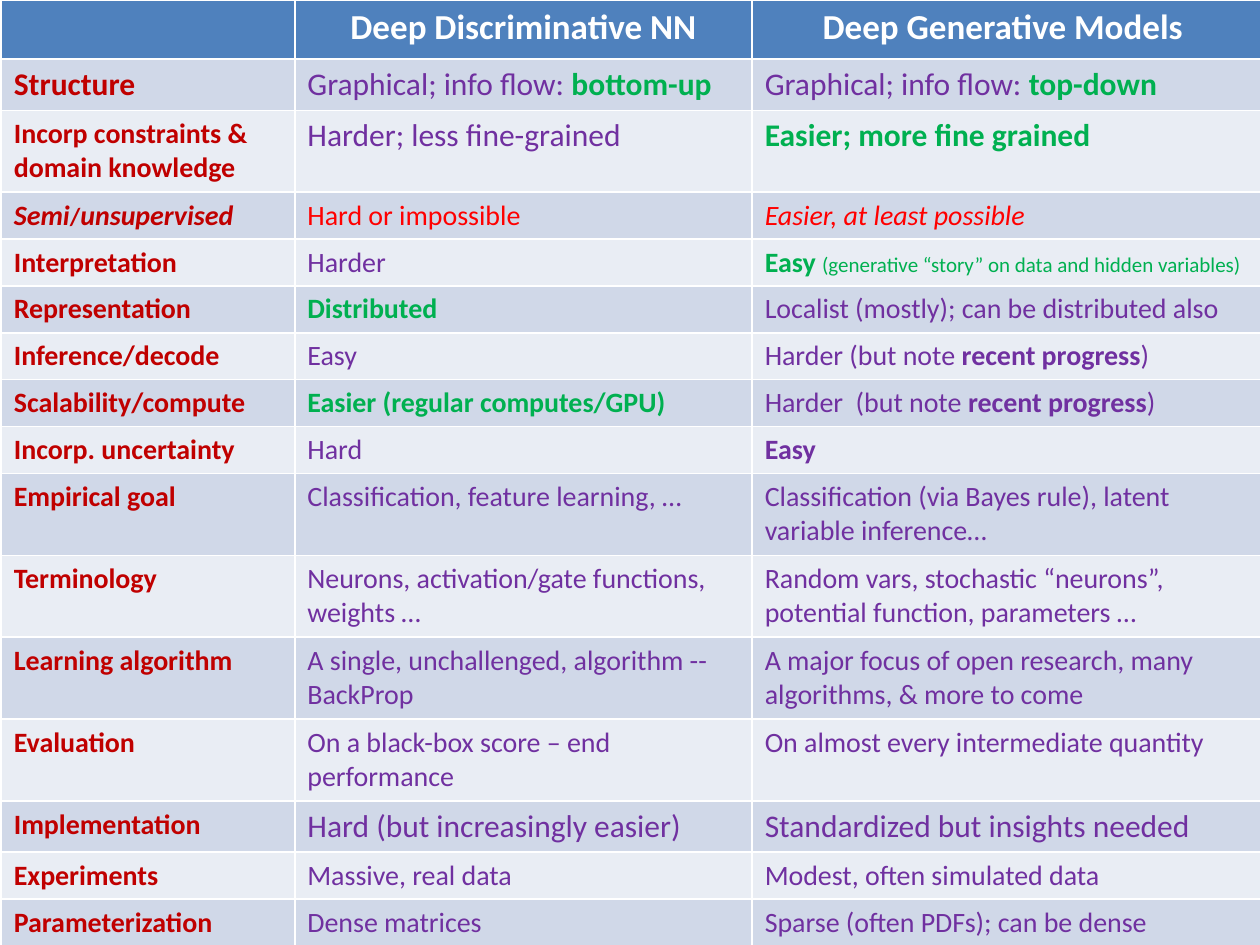
from pptx import Presentation
from pptx.dml.color import RGBColor
from pptx.enum import text
from pptx.util import Pt

WHITE = RGBColor(0xFF, 0xFF, 0xFF)
BLUE = RGBColor(0x4F, 0x81, 0xBD)
BAND_DARK = RGBColor(0xD0, 0xD8, 0xE8)
BAND_LIGHT = RGBColor(0xE9, 0xED, 0xF4)
CRIMSON = RGBColor(0xC0, 0x00, 0x00)
RED = RGBColor(0xFF, 0x00, 0x00)
GREEN = RGBColor(0x00, 0xB0, 0x50)
PURPLE = RGBColor(0x70, 0x30, 0xA0)

COLUMN_WIDTHS = (167.76, 261.36, 290.88)
HEADER_HEIGHT = 33.84
ONE_LINE = 26.64
TWO_LINES = 46.8


def styled(words, size=16, color=PURPLE, bold=False, italic=False):
    return {"words": words, "size": size, "color": color, "bold": bold, "italic": italic}


def label(words, **style):
    return styled(words, **{"color": CRIMSON, "bold": True, **style})


def strong(words, **style):
    return styled(words, **{"color": GREEN, "bold": True, **style})


def heading(words):
    return styled(words, size=20, color=WHITE, bold=True)


def progress_note(lead):
    return [styled(lead), styled("recent progress", bold=True), styled(")")]


def flow(direction):
    return [styled("Graphical; info flow: ", size=18), strong(direction, size=18)]


HEADER = ([], [heading("Deep Discriminative NN")], [heading("Deep Generative Models ")])

ROWS = [
    (ONE_LINE, [label("Structure", size=18)], flow("bottom-up"), flow("top-down")),
    (TWO_LINES, [label("Incorp constraints & domain knowledge")],
     [styled("Harder; less fine-grained", size=18)],
     [strong("Easier; more fine grained", size=18)]),
    (ONE_LINE,
     [label("Semi", italic=True), label("/", size=14), label("unsupervised", italic=True)],
     [styled("Hard or impossible", color=RED)],
     [styled("Easier, at least possible", color=RED, italic=True)]),
    (ONE_LINE, [label("Interpretation")], [styled("Harder")],
     [strong("Easy "),
      strong("(generative “story” on data and hidden variables)", size=12, bold=False)]),
    (ONE_LINE, [label("Representation")], [strong("Distributed")],
     [styled("Localist (mostly); can be distributed also")]),
    (ONE_LINE, [label("Inference/decode")], [styled("Easy")],
     progress_note("Harder (but note ")),
    (ONE_LINE, [label("Scalability/compute")], [strong("Easier (regular computes/GPU)")],
     progress_note("Harder  (but note ")),
    (ONE_LINE, [label("Incorp. uncertainty")], [styled("Hard")], [styled("Easy", bold=True)]),
    (TWO_LINES, [label("Empirical goal")],
     [styled("Classification, feature learning, …")],
     [styled("Classification (via Bayes rule), latent variable inference…")]),
    (TWO_LINES, [label("Terminology")],
     [styled("Neurons, activation/gate functions, weights …")],
     [styled("Random vars, stochastic “neurons”, potential function, parameters …")]),
    (TWO_LINES, [label("Learning algorithm")],
     [styled("A single, unchallenged, algorithm -- BackProp")],
     [styled("A major focus of open research, many algorithms, & more to come")]),
    (TWO_LINES, [label("Evaluation")],
     [styled("On a black-box score – end performance")],
     [styled("On almost every intermediate quantity")]),
    (ONE_LINE, [label("Implementation")],
     [styled("Hard (but increasingly easier)", size=18)],
     [styled("Standardized but insights needed", size=18)]),
    (ONE_LINE, [label("Experiments")], [styled("Massive, real data")],
     [styled("Modest, often simulated data")]),
    (ONE_LINE, [label("Parameterization")], [styled("Dense matrices")],
     [styled("Sparse (often PDFs); can be dense")]),
]


def add_span(para, words, size, color, bold, italic):
    span = para.add_run()
    span.text = words
    span.font.name = "Calibri"
    span.font.size = Pt(size)
    span.font.color.rgb = color
    span.font.bold = bold
    span.font.italic = italic


def fill_row(row, height, contents, color, align):
    row.height = Pt(height)
    for cell, spans in zip(row.cells, contents):
        cell.fill.solid()
        cell.fill.fore_color.rgb = color
        para = cell.text_frame.paragraphs[0]
        para.alignment = align
        for span in spans:
            add_span(para, **span)


def add_comparison(page):
    total_height = HEADER_HEIGHT + sum(row[0] for row in ROWS)
    frame = page.shapes.add_table(
        len(ROWS) + 1, len(COLUMN_WIDTHS),
        Pt(0.72), Pt(0), Pt(sum(COLUMN_WIDTHS)), Pt(total_height))
    table = frame.table
    for column, width in zip(table.columns, COLUMN_WIDTHS):
        column.width = Pt(width)
    fill_row(table.rows[0], HEADER_HEIGHT, HEADER, BLUE, text.PP_ALIGN.CENTER)
    for index, (height, *contents) in enumerate(ROWS):
        band = BAND_LIGHT if index % 2 else BAND_DARK
        fill_row(table.rows[index + 1], height, contents, band, text.PP_ALIGN.LEFT)


def main():
    deck = Presentation()
    deck.slide_width, deck.slide_height = Pt(720), Pt(540)
    page = deck.slides.add_slide(deck.slide_layouts.get_by_name("Blank"))
    add_comparison(page)
    deck.save("out.pptx")


if __name__ == "__main__":
    main()
